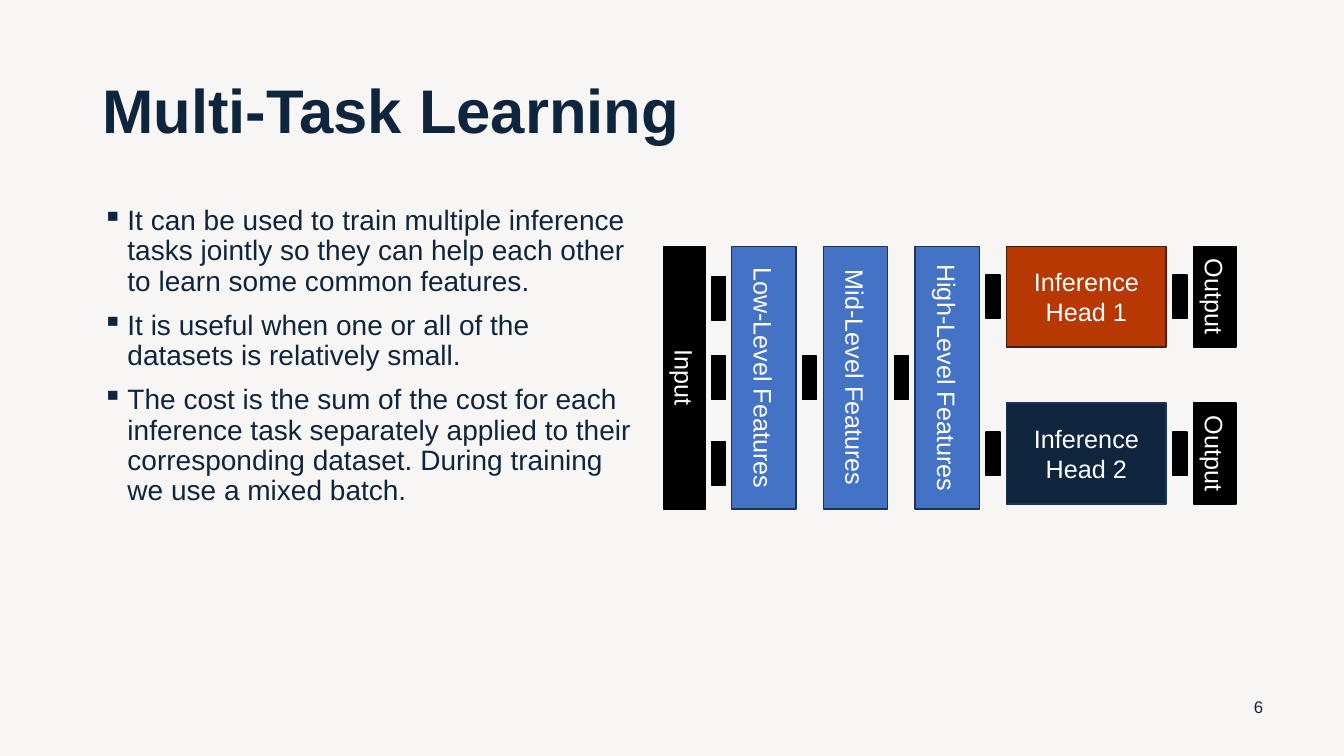
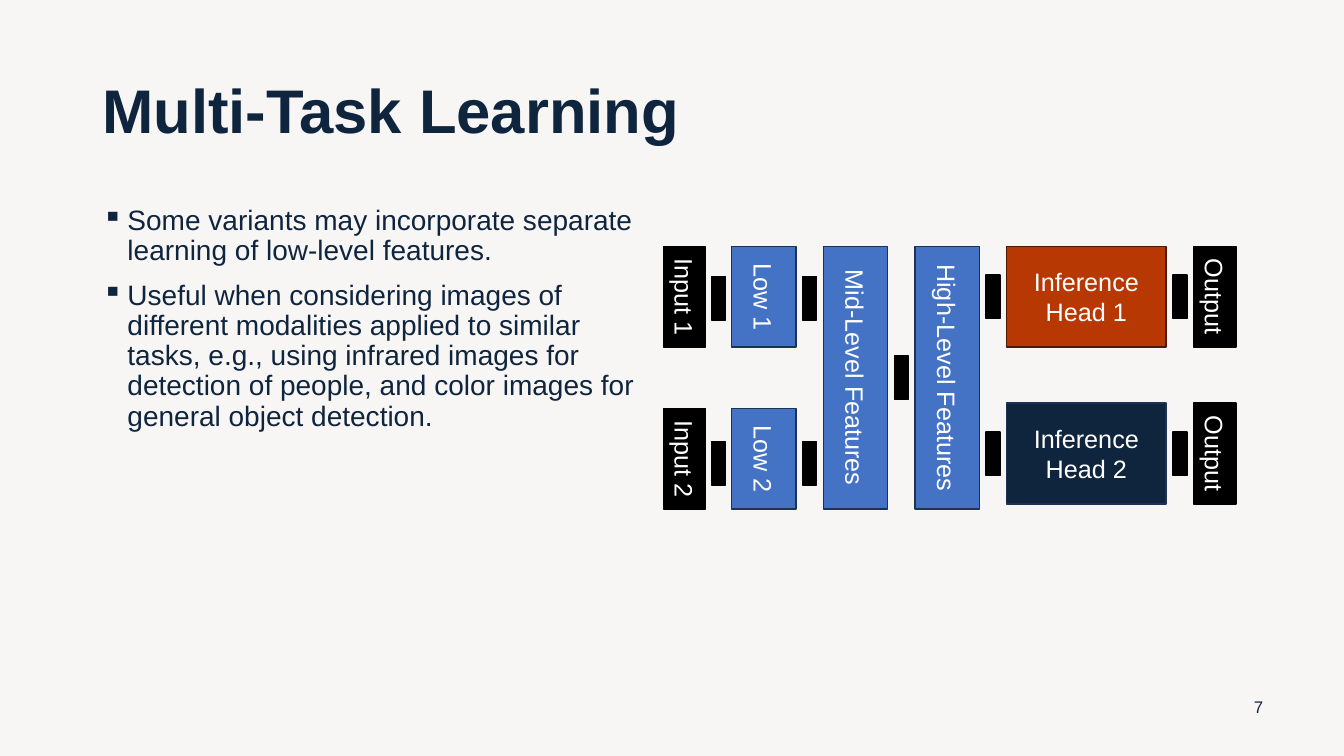
from pptx import Presentation
from pptx import util as u
from pptx.dml import color
from pptx.enum import shapes, text
from pptx.oxml import xmlchemy
from lxml import etree

FONT = "Arial"
PAPER, NAVY, BLUE, RUST = "F8F6F5", "0F253E", "4472C4", "B83803"
BLACK, WHITE, BLUE_EDGE, RUST_EDGE = "000000", "FFFFFF", "1E3256", "511901"
EDGES = {BLACK: BLACK, BLUE: BLUE_EDGE, NAVY: BLUE_EDGE, RUST: RUST_EDGE}

TITLE_BOX = (66, 29, 828, 104)
BODY_BOX = (66, 144, 395.5, 343)
NUMBER_BOX = (881, 490, 36, 29)
DIAGRAM_BOX = (474, 176, 409, 187.5)

COLUMNS = [(0, 30), (48.5, 46), (114, 46), (179.5, 46), (245, 114), (378.5, 30.5)]
INPUT, LOW, MID, HIGH, HEAD, OUTPUT = range(6)
LANE_HEIGHT = 72
LINK_WIDTH, LINK_HEIGHT = 10, 31
HEAD_LANES = [(0, "Inference Head 1", RUST), (112, "Inference Head 2", NAVY)]
INPUT_LANES = [0, 115.75]
INPUT_LINKS = [37, 155]


def rgb(value):
    """Turn a hex string into a colour."""
    return color.RGBColor.from_string(value)


def style(para, size, ink, bold=False):
    """Format every run of a paragraph."""
    for span in para.runs:
        span.font.name = FONT
        span.font.size = u.Pt(size)
        span.font.bold = bold
        span.font.color.rgb = rgb(ink)


def add_text(page, box, lines, size, anchor, bold=False):
    """Place a wrapping text box and return its paragraphs."""
    frame = page.shapes.add_textbox(*map(u.Pt, box)).text_frame
    frame.word_wrap = True
    frame.vertical_anchor = anchor
    frame.text = "\n".join(lines)
    for para in frame.paragraphs:
        style(para, size, NAVY, bold)
    return frame.paragraphs


def add_bullets(page, box, lines):
    """Place the bulleted body text."""
    for para in add_text(page, box, lines, 20, text.MSO_ANCHOR.TOP):
        para.line_spacing = 0.9
        para.space_before = u.Pt(10)
        props = para._p.get_or_add_pPr()
        props.set("marL", str(u.Pt(18)))
        props.set("indent", str(-u.Pt(18)))
        bullet = etree.SubElement(props, xmlchemy.qn("a:buChar"))
        bullet.set("char", "▪")


def add_block(page, box, fill, label="", turned=False):
    """Draw a filled rectangle that covers the box, with its text turned if asked."""
    left, top, width, height = box
    if turned:
        left, top = left + (width - height) / 2, top + (height - width) / 2
        width, height = height, width
    block = page.shapes.add_shape(
        shapes.MSO_SHAPE.RECTANGLE, *map(u.Pt, (left, top, width, height)))
    block.rotation = 90 if turned else 0
    block.shadow.inherit = False
    block.fill.solid()
    block.fill.fore_color.rgb = rgb(fill)
    block.line.color.rgb = rgb(EDGES[fill])
    block.line.width = u.Pt(1)
    if label:
        frame = block.text_frame
        frame.word_wrap = True
        frame.vertical_anchor = text.MSO_ANCHOR.MIDDLE
        frame.text = label
        frame.paragraphs[0].alignment = text.PP_ALIGN.CENTER
        style(frame.paragraphs[0], 18, WHITE)


def add_network(page, box, stages, links):
    """Draw the stages in their columns, the links between them and the two heads."""
    left, top, _, full = box
    middle = full / 2
    stages = stages + [(HIGH, 0, full, "High-Level Features", BLUE)]
    links = links + [(HIGH, middle)]
    for lane, label, fill in HEAD_LANES:
        stages += [(HEAD, lane, LANE_HEIGHT, label, fill),
                   (OUTPUT, lane, LANE_HEIGHT, "Output", BLACK)]
        links += [(column, lane + LANE_HEIGHT / 2) for column in (HEAD, OUTPUT)]
    for column, lane, height, label, fill in stages:
        offset, width = COLUMNS[column]
        add_block(page, (left + offset, top + lane, width, height),
                  fill, label, column != HEAD)
    for column, center in links:
        before, width = COLUMNS[column - 1]
        gap_center = (before + width + COLUMNS[column][0]) / 2
        add_block(page, (left + gap_center - LINK_WIDTH / 2,
                         top + center - LINK_HEIGHT / 2,
                         LINK_WIDTH, LINK_HEIGHT), BLACK)


def shared_input(page, box):
    """Draw the network with one input and shared low-level features."""
    full = box[3]
    stages = [(INPUT, 0, full, "Input", BLACK),
              (LOW, 0, full, "Low-Level Features", BLUE),
              (MID, 0, full, "Mid-Level Features", BLUE)]
    links = [(LOW, center) for center in INPUT_LINKS + [full / 2]]
    add_network(page, box, stages, links + [(MID, full / 2)])


def separate_inputs(page, box):
    """Draw the network with two inputs and separate low-level features."""
    stages = [(MID, 0, box[3], "Mid-Level Features", BLUE)]
    for number, lane in enumerate(INPUT_LANES, 1):
        stages += [(INPUT, lane, LANE_HEIGHT, f"Input {number}", BLACK),
                   (LOW, lane, LANE_HEIGHT, f"Low {number}", BLUE)]
    links = [(column, center) for column in (LOW, MID) for center in INPUT_LINKS]
    add_network(page, box, stages, links)


def add_page(deck, number, bullets, draw_diagram):
    """Add a page with title, bullets, diagram and page number."""
    page = deck.slides.add_slide(deck.slide_layouts[6])
    page.background.fill.solid()
    page.background.fill.fore_color.rgb = rgb(PAPER)
    title = add_text(page, TITLE_BOX, ["Multi-Task Learning"], 44,
                     text.MSO_ANCHOR.MIDDLE, True)
    title[0].line_spacing = 0.9
    add_bullets(page, BODY_BOX, bullets)
    draw_diagram(page, DIAGRAM_BOX)
    footer = add_text(page, NUMBER_BOX, [str(number)], 12, text.MSO_ANCHOR.MIDDLE)
    footer[0].alignment = text.PP_ALIGN.CENTER


def main():
    """Build and save the deck."""
    deck = Presentation()
    deck.slide_width, deck.slide_height = u.Pt(960), u.Pt(540)
    add_page(deck, 6, [
        "It can be used to train multiple inference tasks jointly so they can "
        "help each other to learn some common features.",
        "It is useful when one or all of the datasets is relatively small.",
        "The cost is the sum of the cost for each inference task separately applied "
        "to their corresponding dataset. During training we use a mixed batch.",
    ], shared_input)
    add_page(deck, 7, [
        "Some variants may incorporate separate learning of low-level features.",
        "Useful when considering images of different modalities applied to similar "
        "tasks, e.g., using infrared images for detection of people, and color "
        "images for general object detection.",
    ], separate_inputs)
    deck.save("out.pptx")


if __name__ == "__main__":
    main()
